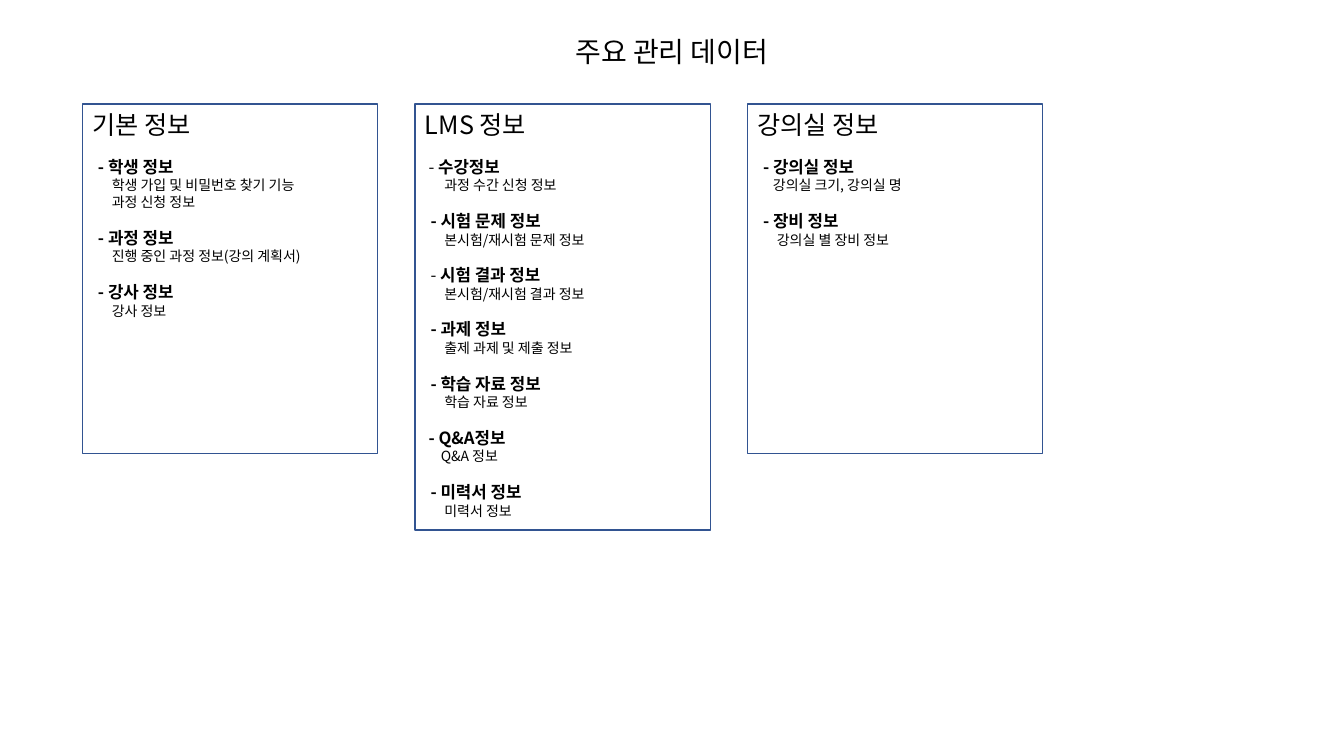
from lxml import etree
from pptx import Presentation, util as u
from pptx.dml.color import RGBColor
from pptx.enum import shapes, text
from pptx.oxml.ns import qn

FONT = "Noto Sans CJK KR"
BLACK = RGBColor(0, 0, 0)
BLUE = RGBColor(0x32, 0x54, 0x91)
LINE_RATIO = 1.21
DASH_INDENT, WIDE_INDENT, DETAIL_INDENT = 0.14, 0.09, 0.49

# Each item: heading, details, dash indent, detail indent, bold dash
BASIC = [
    ("학생 정보", ["학생 가입 및 비밀번호 찾기 기능", "과정 신청 정보"], {}),
    ("과정 정보", ["진행 중인 과정 정보(강의 계획서)"], {}),
    ("강사 정보", ["강사 정보"], {}),
]
LMS = [
    ("수강정보", ["과정 수간 신청 정보"], {"dash": WIDE_INDENT, "dash_bold": False}),
    ("시험 문제 정보", ["본시험/재시험 문제 정보"], {}),
    ("시험 결과 정보", ["본시험/재시험 결과 정보"], {"dash_bold": False}),
    ("과제 정보", ["출제 과제 및 제출 정보"], {}),
    ("학습 자료 정보", ["학습 자료 정보"], {}),
    ("Q&A정보", ["Q&A 정보"], {"dash": WIDE_INDENT, "detail": 0.4}),
    ("미력서 정보", ["미력서 정보"], {}),
]
ROOM = [
    ("강의실 정보", ["강의실 크기, 강의실 명"], {"detail": 0.39}),
    ("장비 정보", ["강의실 별 장비 정보"], {}),
]
PANELS = [("기본 정보", BASIC, 8.81), ("LMS 정보", LMS, 10.74), ("강의실 정보", ROOM, 8.81)]


def add_run(p, value, size=10, bold=False):
    """Add a run of black text to a paragraph."""
    r = p.add_run()
    r.text = value
    r.font.size, r.font.bold, r.font.name = u.Pt(size), bold, FONT
    r.font.color.rgb = BLACK
    etree.SubElement(r.font._element, qn("a:ea"), typeface=FONT)


def add_text(tf, value, size=10, bold=False, indent=0, before=0,
             align=text.PP_ALIGN.LEFT, dash=False, dash_bold=True):
    """Write one paragraph, using the first one while it is still empty."""
    p = tf.paragraphs[0] if not tf.text else tf.add_paragraph()
    p.alignment = align
    p.line_spacing = u.Pt(round(size * LINE_RATIO, 1))
    p.space_before = u.Pt(before)
    p._p.get_or_add_pPr().set("marL", str(u.Cm(indent)))
    if dash:
        add_run(p, "- ", size, dash_bold)
    add_run(p, value, size, bold)


def add_title(s, value, left, top, width, height):
    """Place the centred slide title."""
    tf = s.shapes.add_textbox(u.Cm(left), u.Cm(top), u.Cm(width), u.Cm(height)).text_frame
    tf.word_wrap = True
    add_text(tf, value, size=20, align=text.PP_ALIGN.CENTER)


def add_panel(s, heading, items, left, top, width, height):
    """Place an outlined panel with its heading and items."""
    sp = s.shapes.add_shape(shapes.MSO_SHAPE.RECTANGLE, u.Cm(left), u.Cm(top),
                            u.Cm(width), u.Cm(height))
    sp.shadow.inherit = False
    sp.fill.background()
    sp.line.color.rgb = BLUE
    sp.line.width = u.Pt(1)
    tf = sp.text_frame
    tf.word_wrap = True
    tf.vertical_anchor = text.MSO_ANCHOR.TOP
    add_text(tf, heading, size=18)
    for name, details, style in items:
        add_text(tf, name, size=12, bold=True, before=12.1, dash=True,
                 indent=style.get("dash", DASH_INDENT),
                 dash_bold=style.get("dash_bold", True))
        for detail in details:
            add_text(tf, detail, indent=style.get("detail", DETAIL_INDENT))


def main():
    """Build the slide and save it."""
    prs = Presentation()
    prs.slide_width, prs.slide_height = u.Cm(33.87), u.Cm(19.05)
    s = prs.slides.add_slide(prs.slide_layouts[6])
    add_title(s, "주요 관리 데이터", 0, 0.74, 33.87, 1.12)
    for i, (heading, items, height) in enumerate(PANELS):
        add_panel(s, heading, items, 2.08 + i * 8.38, 2.62, 7.44, height)
    prs.save("out.pptx")


if __name__ == "__main__":
    main()
